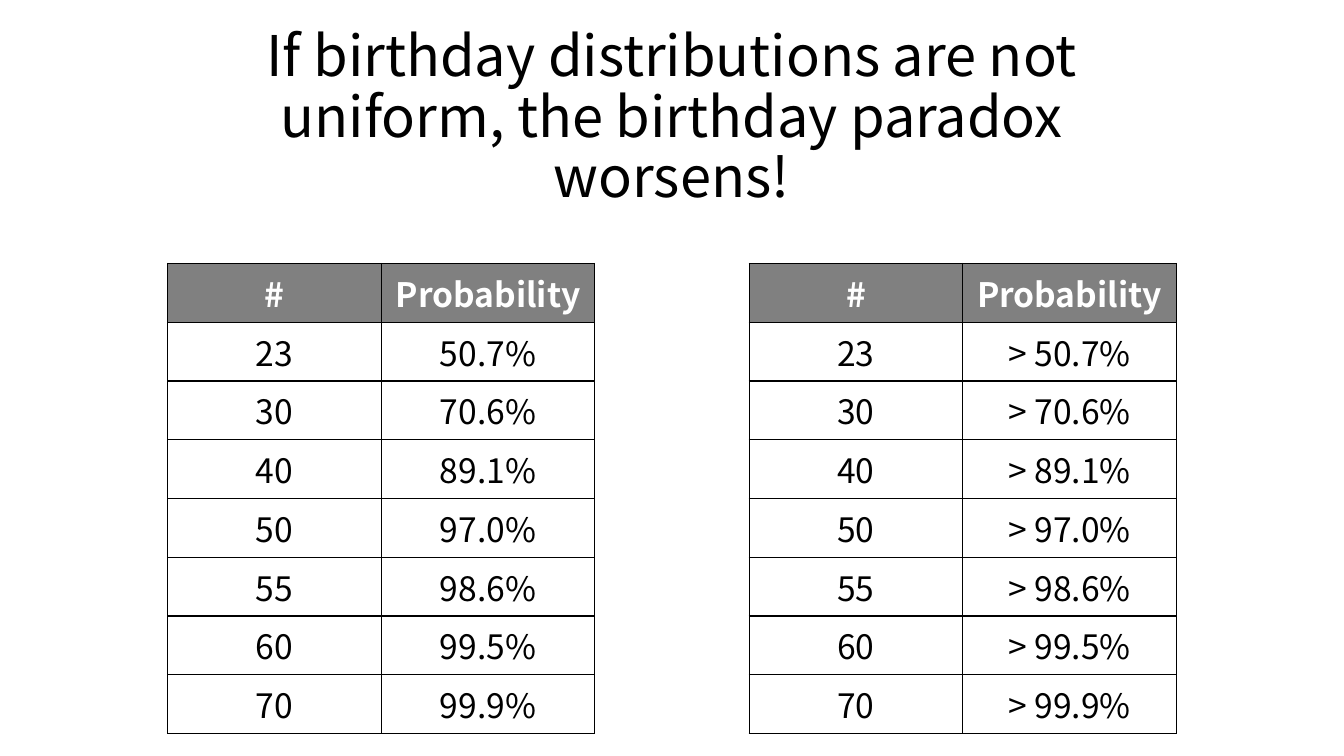
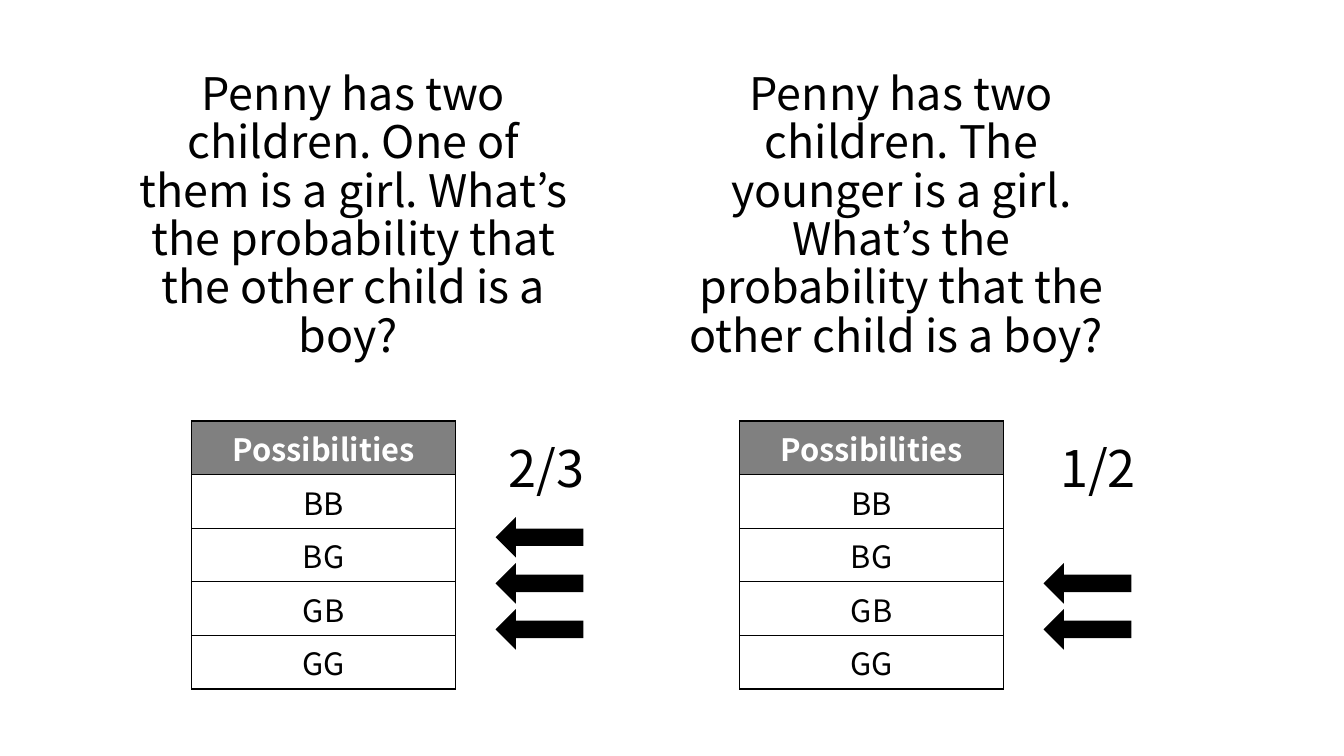
from lxml.etree import SubElement
from pptx import Presentation
from pptx.dml.color import RGBColor
from pptx.enum.shapes import MSO_SHAPE as Shape
from pptx.enum.text import MSO_ANCHOR as Anchor, PP_ALIGN as Align
from pptx.oxml.ns import qn
from pptx.util import Cm, Pt

COLORS = {"text": "000000", "header": "808080", "header_text": "FFFFFF", "line": "000000"}
FONT = "Noto Sans CJK JP"


def color(name):
    return RGBColor.from_string(COLORS[name])


def write_text(frame, text, *, size, fill="text", bold=False, spacing=None,
               anchor=Anchor.TOP):
    frame.word_wrap = True
    frame.vertical_anchor = anchor
    paragraph = frame.paragraphs[0]
    paragraph.alignment = Align.CENTER
    if spacing:
        paragraph.line_spacing = spacing
    run = paragraph.add_run()
    run.text = text
    run.font.name = FONT
    run.font.size = Pt(size)
    run.font.bold = bold
    run.font.color.rgb = color(fill)


def draw_borders(cell, width=Pt(1)):
    properties = cell._tc.get_or_add_tcPr()
    for side in ("lnL", "lnR", "lnT", "lnB"):
        line = SubElement(properties, qn(f"a:{side}"), w=str(width))
        solid = SubElement(line, qn("a:solidFill"))
        SubElement(solid, qn("a:srgbClr"), val=COLORS["line"])


class Deck:
    """Holds the shared style and the current slide."""

    def __init__(self):
        self.presentation = Presentation()
        self.presentation.slide_width = Cm(33.87)
        self.presentation.slide_height = Cm(19.05)
        self.slide = None

    def add_slide(self):
        self.slide = self.presentation.slides.add_slide(self.presentation.slide_layouts[6])

    def heading(self, text, left, top, width, height, size):
        box = self.slide.shapes.add_textbox(Cm(left), Cm(top), Cm(width), Cm(height))
        write_text(box.text_frame, text, size=size, spacing=0.9, anchor=Anchor.BOTTOM)

    def table(self, rows, left, top, column_width, row_height, size):
        columns = len(rows[0])
        table = self.slide.shapes.add_table(
            len(rows), columns, Cm(left), Cm(top),
            Cm(column_width * columns), Cm(row_height * len(rows))).table
        table.horz_banding = False
        for column in table.columns:
            column.width = Cm(column_width)
        for row_index, values in enumerate(rows):
            table.rows[row_index].height = Cm(row_height)
            is_header = row_index == 0
            for column_index, value in enumerate(values):
                cell = table.cell(row_index, column_index)
                draw_borders(cell)
                if is_header:
                    cell.fill.solid()
                    cell.fill.fore_color.rgb = color("header")
                else:
                    cell.fill.background()
                write_text(cell.text_frame, value, size=size, bold=is_header,
                           fill="header_text" if is_header else "text")

    def arrow(self, left, top):
        arrow = self.slide.shapes.add_shape(
            Shape.LEFT_ARROW, Cm(left), Cm(top), Cm(2.21), Cm(1.02))
        arrow.adjustments[0] = 0.43
        arrow.shadow.inherit = False
        arrow.fill.solid()
        arrow.fill.fore_color.rgb = color("text")
        arrow.line.fill.background()


def birthday_slide(deck):
    deck.add_slide()
    deck.heading("If birthday distributions are not uniform, the birthday paradox worsens!",
                 4.23, -1.22, 25.4, 6.63, size=40)
    probabilities = {"23": "50.7%", "30": "70.6%", "40": "89.1%", "50": "97.0%",
                     "55": "98.6%", "60": "99.5%", "70": "99.9%"}
    # Uniform on the left, lower bounds on the right
    for left, prefix in ((4.23, ""), (18.88, "> ")):
        rows = [("#", "Probability")]
        rows += [(count, prefix + value) for count, value in probabilities.items()]
        deck.table(rows, left, 6.64, column_width=5.38, row_height=1.48, size=24)


def children_slide(deck):
    deck.add_slide()
    rows = [("Possibilities",), ("BB",), ("BG",), ("GB",), ("GG",)]
    # Known fact, answer, left edge of the answer, arrow positions
    cases = [("One of them", "2/3", 11.48, (0, 1, 2)),
             ("The younger", "1/2", 25.37, (1, 2))]
    for index, (girl, answer, answer_left, arrows) in enumerate(cases):
        offset = index * 13.81
        deck.heading(f"Penny has two children. {girl} is a girl. What’s the probability "
                     "that the other child is a boy? ",
                     3.12 + offset, 2.62, 11.58, 6.63, size=32)
        deck.table(rows, 4.83 + offset, 10.61, column_width=6.65, row_height=1.35, size=22)
        for position in arrows:
            deck.arrow(12.49 + offset, 13.03 + position * 1.16)
        deck.heading(answer, answer_left, 10.3, 4.6, 2.39, size=36)


def main():
    deck = Deck()
    birthday_slide(deck)
    children_slide(deck)
    deck.presentation.save("out.pptx")


if __name__ == "__main__":
    main()
